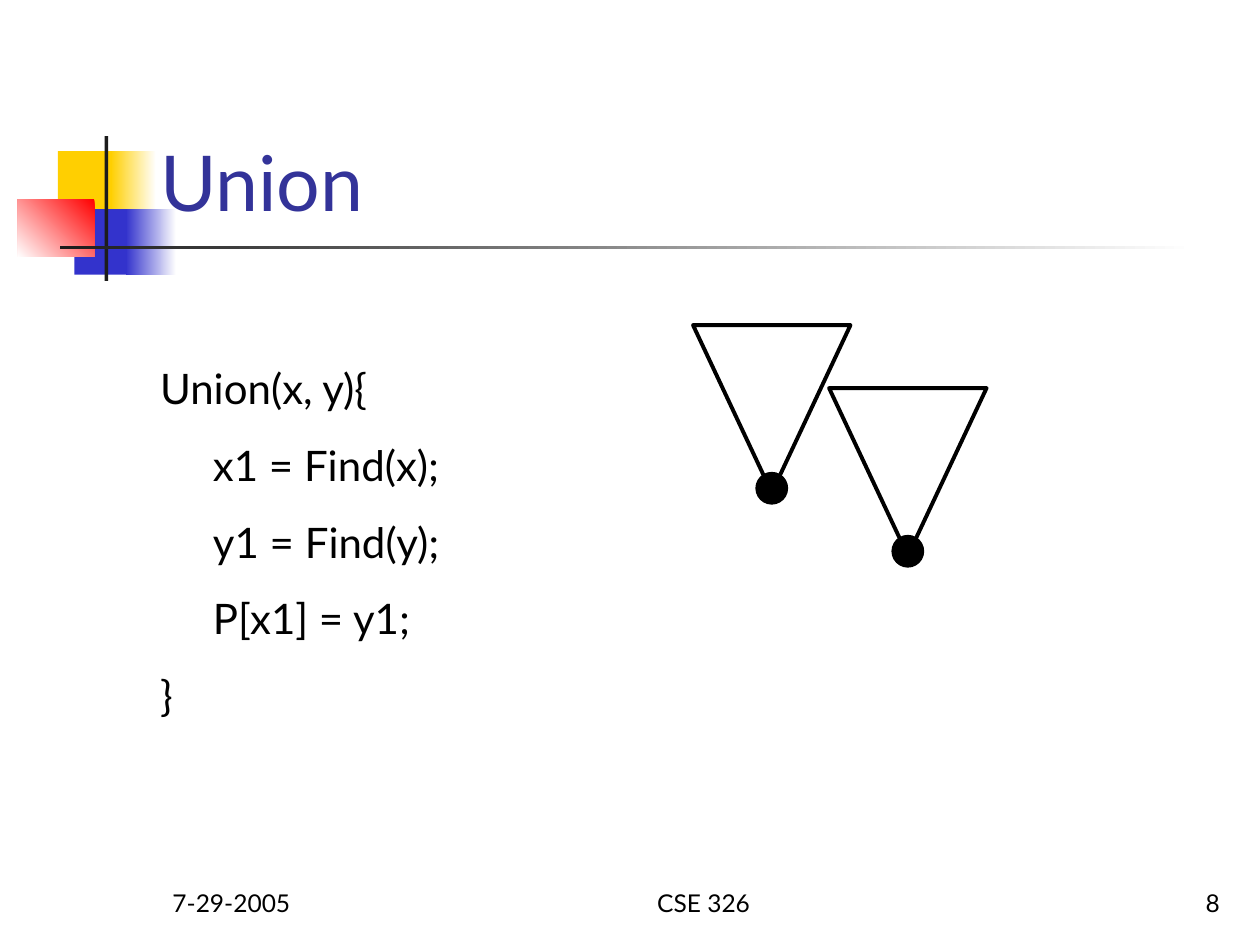
from pptx import Presentation, util as u
from pptx.dml.color import RGBColor
from pptx.enum import shapes, text
from pptx.oxml.ns import qn
from lxml import etree

WIDE, HIGH = 10, 7.5
FONT = "Lato"
BLACK = RGBColor(0x00, 0x00, 0x00)
WHITE = RGBColor(0xFF, 0xFF, 0xFF)
GOLD = RGBColor(0xFF, 0xCF, 0x01)
BLUE = RGBColor(0x33, 0x33, 0xCC)
RED = RGBColor(0xFF, 0x00, 0x00)
DARK = RGBColor(0x1C, 0x1C, 0x1C)
NAVY = RGBColor(0x33, 0x33, 0x99)

KIND = shapes.MSO_SHAPE
ALIGN = text.PP_ALIGN
ANCHOR = text.MSO_ANCHOR

# Left edge shared by title and code
LEFT = 1.17
CODE = [("Union(x, y){", 0), ("x1 = Find(x);", 1), ("y1 = Find(y);", 1),
        ("P[x1] = y1;", 1), ("}", 0)]
INDENT = 0.42


def place(item, left, top, width, height):
    item.left, item.top = u.Inches(left), u.Inches(top)
    item.width, item.height = u.Inches(width), u.Inches(height)


def add_run(para, words, size, color):
    run = para.add_run()
    run.text = words
    run.font.name = FONT
    run.font.size = u.Pt(size)
    run.font.color.rgb = color


def add_form(slide, kind, box, fill=None, line=None):
    """Preset shape; fill is a colour, a (start, end, angle) fade or None."""
    form = slide.shapes.add_shape(kind, *map(u.Inches, box))
    form.shadow.inherit = False
    if fill is None:
        form.fill.background()
    elif isinstance(fill, RGBColor):
        form.fill.solid()
        form.fill.fore_color.rgb = fill
    else:
        start, end, angle = fill
        form.fill.gradient()
        form.fill.gradient_angle = angle
        for stop, color in zip(form.fill.gradient_stops, (start, end)):
            stop.color.rgb = color
    if line is None:
        form.line.fill.background()
    else:
        form.line.color.rgb = BLACK
        form.line.width = u.Pt(line)
    return form


def add_logo(slide):
    """Coloured blocks and crossing bars beside the title."""
    parts = [
        ((0.46, 1.2, 0.48, 0.52), GOLD),
        ((0.88, 1.2, 0.36, 0.52), (WHITE, GOLD, 180)),
        ((0.59, 1.66, 0.46, 0.52), BLUE),
        ((1, 1.66, 0.4, 0.52), (WHITE, BLUE, 180)),
        ((0.14, 1.58, 0.61, 0.46), (RED, WHITE, 225)),
        ((0.83, 1.08, 0.03, 1.15), DARK),
        ((0.48, 1.95, 9, 0.03), (WHITE, DARK, 180)),
    ]
    for box, fill in parts:
        add_form(slide, KIND.RECTANGLE, box, fill)


def set_title(slide):
    title = slide.shapes.title
    place(title, LEFT, 0.25, 8.52, 1.6)
    frame = title.text_frame
    frame.auto_size = text.MSO_AUTO_SIZE.NONE
    frame.vertical_anchor = ANCHOR.BOTTOM
    para = frame.paragraphs[0]
    para.alignment = ALIGN.LEFT
    add_run(para, "Union", 44, NAVY)


def set_code(slide):
    body = slide.placeholders[1]
    place(body, LEFT, 2.83, 2.83, 2.94)
    frame = body.text_frame
    frame.auto_size = text.MSO_AUTO_SIZE.NONE
    for row, (words, depth) in enumerate(CODE):
        para = frame.add_paragraph() if row else frame.paragraphs[0]
        para.space_before = u.Pt(15)
        # Indented lines without bullets
        props = para._p.get_or_add_pPr()
        props.set("marL", str(u.Inches(depth * INDENT)))
        props.set("indent", "0")
        etree.SubElement(props, qn("a:buNone"))
        add_run(para, words, 24, BLACK)


def add_tree(slide, left, top):
    """Inverted triangle with its root dot at the lower tip."""
    width, height, dot = 1.25, 1.33, 0.25
    cone = add_form(slide, KIND.ISOSCELES_TRIANGLE,
                    (left, top, width, height), line=2.25)
    cone.rotation = 180
    add_form(slide, KIND.OVAL,
             (left + (width - dot) / 2, top + 1.17, dot, dot), BLACK, 0.75)


def add_note(slide, words, left, width, align):
    """One entry of the footer row."""
    box = slide.shapes.add_textbox(0, 0, 0, 0)
    place(box, left, 6.83, width, 0.5)
    frame = box.text_frame
    frame.word_wrap = True
    frame.vertical_anchor = ANCHOR.BOTTOM
    para = frame.paragraphs[0]
    para.alignment = align
    add_run(para, words, 14, BLACK)


def main():
    deck = Presentation()
    deck.slide_width, deck.slide_height = u.Inches(WIDE), u.Inches(HIGH)
    slide = deck.slides.add_slide(deck.slide_layouts[1])

    add_logo(slide)
    # Text stays in front of the logo
    tree = slide.shapes._spTree
    for item in list(slide.placeholders):
        tree.append(item._element)
    set_title(slide)
    set_code(slide)

    # Two trees to be joined
    for left, top in ((5.5, 2.58), (6.58, 3.08)):
        add_tree(slide, left, top)

    # Footer
    add_note(slide, "CSE 326", 4, 3.17, ALIGN.CENTER)
    add_note(slide, "8", 7.7, 2.08, ALIGN.RIGHT)
    add_note(slide, "7-29-2005", 1.27, 2.08, ALIGN.LEFT)
    deck.save("out.pptx")


if __name__ == "__main__":
    main()
